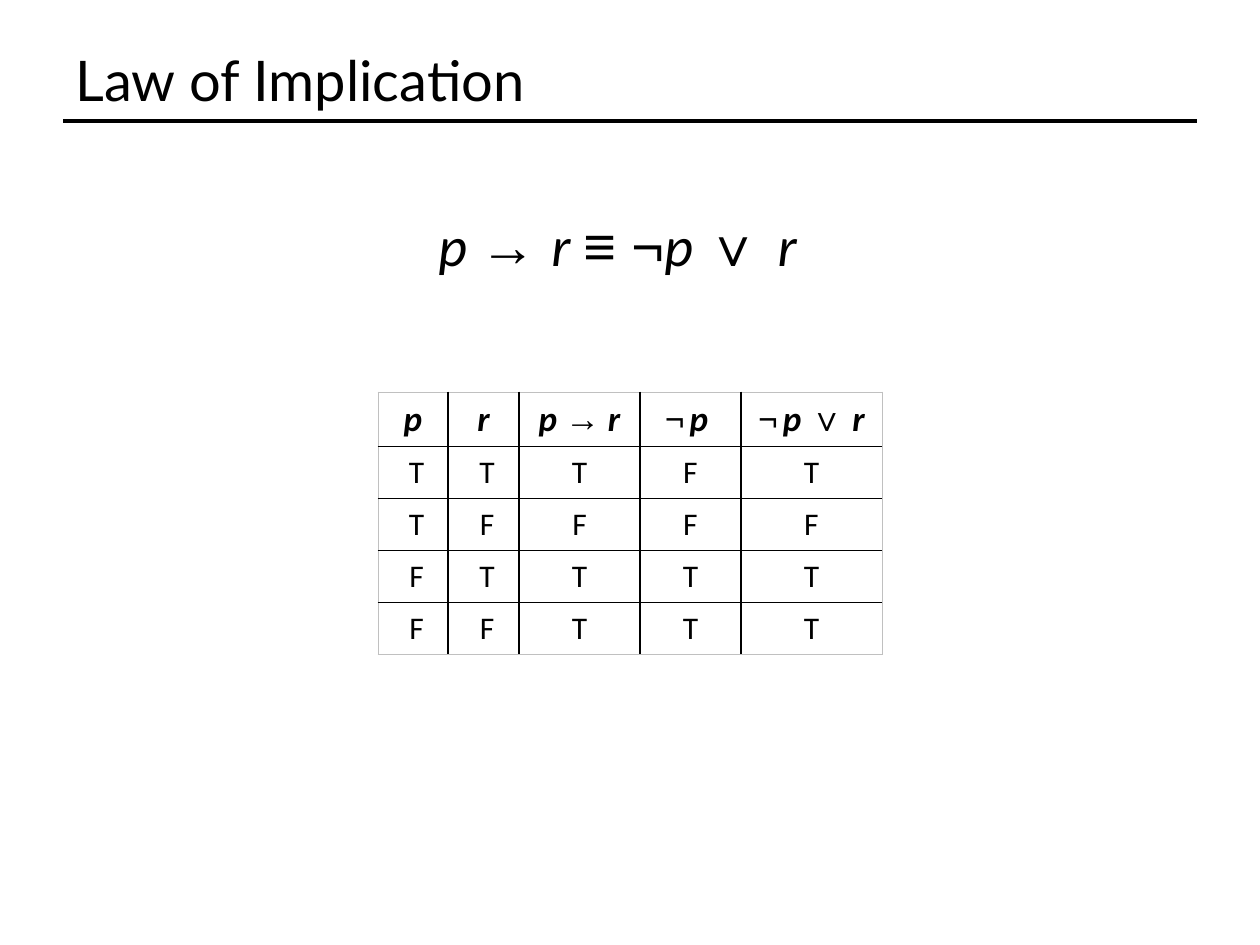
from lxml import etree
from pptx import Presentation
from pptx.dml.color import RGBColor
from pptx.enum.shapes import MSO_CONNECTOR
from pptx.enum.text import MSO_ANCHOR, MSO_AUTO_SIZE, PP_ALIGN
from pptx.oxml.ns import qn
from pptx.util import Emu, Pt

STRAIGHT = MSO_CONNECTOR.STRAIGHT
MIDDLE = MSO_ANCHOR.MIDDLE
LEFT, CENTER = PP_ALIGN.LEFT, PP_ALIGN.CENTER
BLACK = RGBColor(0x00, 0x00, 0x00)
GREY = RGBColor(0xC0, 0xC0, 0xC0)
PX = 914400 / 126


def px(length):
    return Emu(round(length * PX))


def add_formula(paragraph, parts, size, bold=False):
    """Variables are upright or italic by font: Calibri parts are italic."""
    paragraph.alignment = CENTER
    for text, font_name, *own_size in parts:
        run = paragraph.add_run()
        run.text = text
        run.font.name = font_name
        run.font.size = Pt(own_size[0] if own_size else size)
        run.font.bold = bold
        run.font.italic = font_name == "Calibri"
        run.font.color.rgb = BLACK


prs = Presentation()
prs.slide_width, prs.slide_height = px(1260), px(945)
slide = prs.slides.add_slide(prs.slide_layouts[5])

# Title and the rule below it
title = slide.shapes.title
title.left, title.top, title.width, title.height = px(63), px(38), px(1134), px(83)
title.text_frame.text = "Law of Implication"
title.text_frame.vertical_anchor = MIDDLE
heading = title.text_frame.paragraphs[0]
heading.alignment = LEFT
heading.font.name = "Lato"
heading.font.size = Pt(32)
heading.font.color.rgb = BLACK

title_rule = slide.shapes.add_connector(STRAIGHT, px(63), px(121), px(1197), px(121))
title_rule.line.color.rgb = BLACK
title_rule.line.width = Pt(2)
etree.SubElement(title_rule._element.spPr, qn("a:effectLst"))

# The law
law = slide.shapes.add_textbox(px(229), px(204), px(777), px(81)).text_frame
law.word_wrap = True
law.auto_size = MSO_AUTO_SIZE.SHAPE_TO_FIT_TEXT
add_formula(law.paragraphs[0], [
    ("p ", "Calibri"), ("→ ", "Arial"), ("r ", "Calibri"), ("≡ ¬", "Arial"),
    ("p ", "Calibri"), ("∨ ", "Arial"), ("r", "Calibri")], 32)

# Truth table
SERIF = "Times New Roman"
headers = [
    [("p", "Calibri")],
    [("r", "Calibri")],
    [("p ", "Calibri"), ("→", "Arial"), (" r", "Calibri")],
    [("¬", SERIF), (" ", SERIF, 10.5), ("p ", "Calibri")],
    [("¬", SERIF), (" ", SERIF, 11), ("p ", "Calibri"), ("∨", "Arial"), (" r", "Calibri")],
]
truth_values = [
    [" T", " T", "T", "F", "T"],
    [" T", " F", "F", "F", "F"],
    [" F", " T", "T", "T", "T"],
    [" F", " F", "T", "T", "T"],
]
column_widths = [70, 71, 121, 101, 141]
row_count, column_count = len(truth_values) + 1, len(headers)
truth_table = slide.shapes.add_table(
    row_count, column_count, px(378), px(392), px(sum(column_widths)), px(260)).table
truth_table.first_row = False
truth_table.horz_banding = False
for column, width in zip(truth_table.columns, column_widths):
    column.width = px(width)
for row in truth_table.rows:
    row.height = px(52)

for r in range(row_count):
    for c in range(column_count):
        cell = truth_table.cell(r, c)
        cell.vertical_anchor = MIDDLE
        paragraph = cell.text_frame.paragraphs[0]
        if r == 0:
            add_formula(paragraph, headers[c], 20, bold=True)
        else:
            paragraph.text = truth_values[r - 1][c]
            paragraph.alignment = CENTER
            font = paragraph.runs[0].font
            font.name, font.size, font.color.rgb = "Calibri", Pt(18), BLACK

        # Black inner borders, thin grey outer ones
        outer_edges = {"lnL": c == 0, "lnR": c == column_count - 1,
                       "lnT": r == 0, "lnB": r == row_count - 1}
        properties = cell._tc.get_or_add_tcPr()
        for edge, is_outer in outer_edges.items():
            border = etree.SubElement(properties, qn(f"a:{edge}"),
                                      w=str(Pt(0.5 if is_outer else 1)))
            fill = etree.SubElement(border, qn("a:solidFill"))
            etree.SubElement(fill, qn("a:srgbClr"), val=str(GREY if is_outer else BLACK))
        cell.fill.background()

prs.save("out.pptx")
